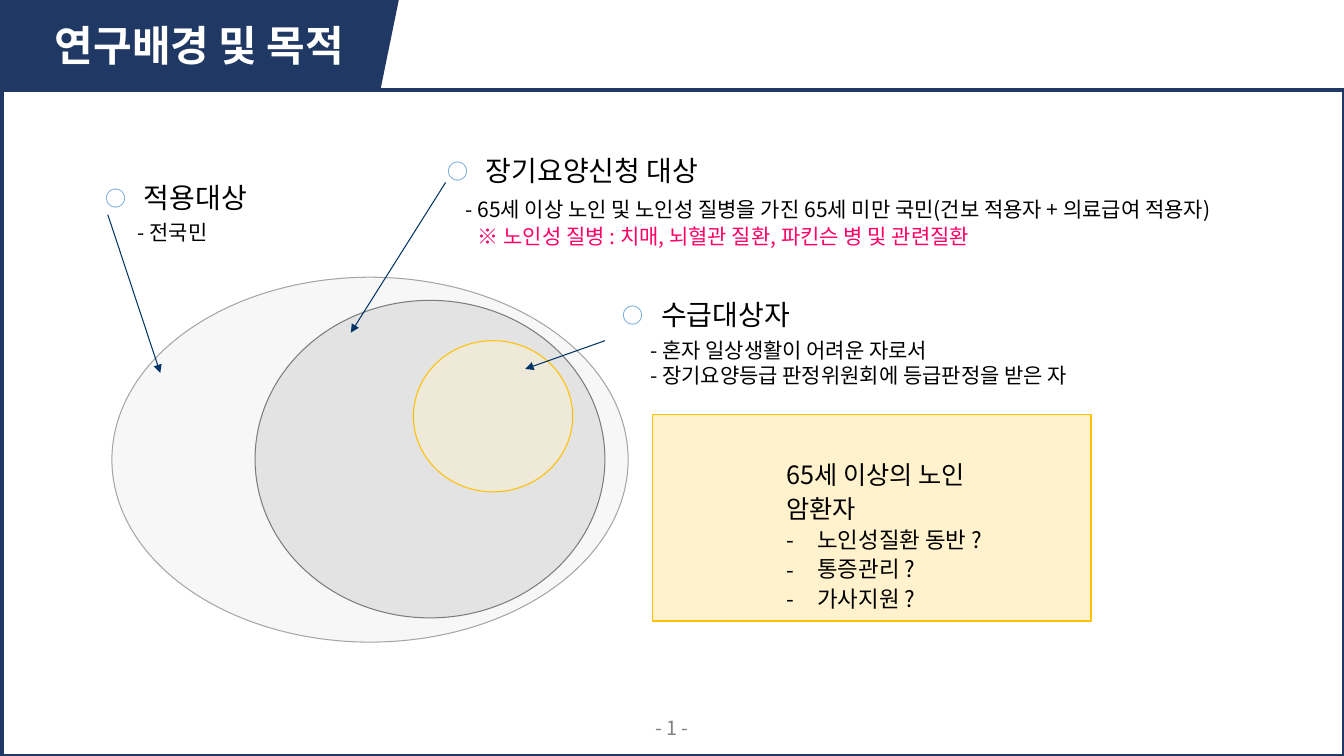
from dataclasses import dataclass

from lxml import etree
from pptx import Presentation
from pptx import util as u
from pptx.dml.color import RGBColor
from pptx.enum import shapes, text
from pptx.oxml import ns

FONT = "Noto Sans CJK KR"
NAVY = RGBColor(0x20, 0x38, 0x64)
INK = RGBColor(0x00, 0x33, 0x66)
BLACK = RGBColor(0, 0, 0)
WHITE = RGBColor(0xFF, 0xFF, 0xFF)
GRAY = RGBColor(0x80, 0x80, 0x80)
PINK = RGBColor(0xFF, 0x00, 0x66)
GOLD = RGBColor(0xFF, 0xC0, 0x00)
CREAM = RGBColor(0xFF, 0xF2, 0xCC)
PALE = RGBColor(0xED, 0xED, 0xED)
SILVER = RGBColor(0xA5, 0xA5, 0xA5)
MID = RGBColor(0xC9, 0xC9, 0xC9)
DARK = RGBColor(0x7C, 0x7C, 0x7C)
BLUE = RGBColor(0x5B, 0x9B, 0xD5)
LEFT, CENTER = text.PP_ALIGN.LEFT, text.PP_ALIGN.CENTER


@dataclass
class Line:
    words: str
    size: float
    space: float = 1.0
    before: float = 0
    indent: float = 0
    hang: float = 0
    bullet: str = ""
    color: RGBColor = BLACK
    bold: bool = False
    align: text.PP_ALIGN = LEFT


@dataclass
class Note:
    box: tuple[float, float, float, float]
    lines: list[Line]


@dataclass
class Figure:
    kind: shapes.MSO_SHAPE
    box: tuple[float, float, float, float]
    fill: RGBColor | None
    edge: RGBColor
    width: float
    alpha: int = 100


@dataclass
class Arrow:
    start: tuple[float, float]
    end: tuple[float, float]


def add(parent, tag: str, **attrs: str):
    return etree.SubElement(parent, ns.qn(tag), attrs)


def write(frame, lines: list[Line]) -> None:
    frame.word_wrap = True
    for i, line in enumerate(lines):
        para = frame.add_paragraph() if i else frame.paragraphs[0]
        para.text = line.words
        para.alignment = line.align
        para.line_spacing = line.space
        para.space_before = u.Pt(line.before)
        props = para._p.get_or_add_pPr()
        props.set("marL", str(u.Inches(line.indent)))
        props.set("indent", str(-u.Inches(line.hang)))
        if line.bullet:
            if line.bullet == "○":
                tint = add(props, "a:buClr")
                add(tint, "a:srgbClr", val=str(BLUE))
                add(props, "a:buSzPct", val="75000")
            add(props, "a:buFont", typeface=FONT)
            add(props, "a:buChar", char=line.bullet)
        font = para.font
        font.name, font.size, font.bold = FONT, u.Pt(line.size), line.bold
        font.color.rgb = line.color
        add(props.find(ns.qn("a:defRPr")), "a:ea", typeface=FONT)


def draw_note(slide, note: Note) -> None:
    box = slide.shapes.add_textbox(*map(u.Inches, note.box))
    write(box.text_frame, note.lines)


def draw_shape(slide, fig: Figure) -> None:
    shape = slide.shapes.add_shape(fig.kind, *map(u.Inches, fig.box))
    shape.shadow.inherit = False
    shape.line.color.rgb = fig.edge
    shape.line.width = u.Pt(fig.width)
    if fig.fill is None:
        shape.fill.background()
        return
    shape.fill.solid()
    shape.fill.fore_color.rgb = fig.fill
    if fig.alpha < 100:
        tint = shape._element.spPr.find(ns.qn("a:solidFill"))[0]
        add(tint, "a:alpha", val=str(fig.alpha * 1000))


def draw_arrow(slide, arrow: Arrow) -> None:
    line = slide.shapes.add_connector(
        shapes.MSO_CONNECTOR.STRAIGHT,
        *map(u.Inches, arrow.start + arrow.end))
    line.line.color.rgb = INK
    line.line.width = u.Pt(0.75)
    add(line.line._get_or_add_ln(), "a:tailEnd", type="triangle")
    add(line._element.spPr, "a:effectLst")


def draw_title(slide) -> None:
    pen = slide.shapes.build_freeform(0, u.Inches(-0.02))
    corners = [(3.96, -0.02), (3.77, 0.91), (0, 0.91)]
    pen.add_line_segments([(u.Inches(x), u.Inches(y)) for x, y in corners])
    tab = pen.convert_to_shape()
    tab.shadow.inherit = False
    tab.fill.solid()
    tab.fill.fore_color.rgb = NAVY
    tab.line.fill.background()
    tab.text_frame.vertical_anchor = text.MSO_ANCHOR.MIDDLE
    write(tab.text_frame, [Line("연구배경 및 목적", 30, color=WHITE,
                                bold=True, align=CENTER)])


def head(words: str, space: float = 1.2) -> Line:
    return Line(words, 20, space, indent=0.38, hang=0.38, bullet="○")


def ask(words: str) -> Line:
    return Line(words, 16, 1.1, indent=0.31, hang=0.31, bullet="-")


RECT, OVAL = shapes.MSO_SHAPE.RECTANGLE, shapes.MSO_SHAPE.OVAL
FIGURES = [
    Figure(RECT, (0.02, 0.89, 13.31, 6.61), None, NAVY, 3),
    Figure(RECT, (6.47, 4.11, 4.35, 2.05), CREAM, GOLD, 1),
    Figure(OVAL, (1.11, 2.75, 5.12, 3.62), PALE, SILVER, 0.75, 42),
    Figure(OVAL, (2.53, 2.98, 3.47, 3.15), MID, DARK, 0.75, 42),
    Figure(OVAL, (4.1, 3.38, 1.58, 1.5), CREAM, GOLD, 0.75, 42),
]
ARROWS = [
    Arrow((6, 3.38), (5.21, 3.66)),
    Arrow((4.42, 1.81), (3.48, 3.3)),
    Arrow((1.07, 2.13), (1.59, 3.7)),
]
NOTES = [
    Note((5.34, 7.05, 2.65, 0.34),
         [Line("- 1 -", 14, color=GRAY, align=CENTER)]),
    Note((0.95, 1.68, 2.84, 0.87), [
        head("적용대상"),
        Line("- 전국민", 14.9, 0.6, 10, 0.32)]),
    Note((4.34, 1.41, 8.77, 1.81), [
        head("장기요양신청 대상"),
        Line("- 65세 이상 노인 및 노인성 질병을 가진 65세 미만 국민"
             "(건보 적용자 + 의료급여 적용자)", 15, 1.2, 3, 0.18),
        Line("※ 노인성 질병 : 치매, 뇌혈관 질환, 파킨슨 병 및 관련질환",
             15, 0.9, 3, 0.3, color=PINK)]),
    Note((6.08, 2.87, 5.46, 2.05), [
        head("수급대상자", 1.1),
        Line("- 혼자 일상생활이 어려운 자로서", 15, 1.1, 3, 0.27),
        Line("- 장기요양등급 판정위원회에 등급판정을 받은 자",
             15, 0.8, 3, 0.27)]),
    Note((7.7, 4.48, 2.7, 1.31), [
        Line("65세 이상의 노인 암환자", 18, 1.1),
        *map(ask, ("노인성질환 동반 ?", "통증관리 ?", "가사지원 ?"))]),
]


def main() -> None:
    deck = Presentation()
    deck.slide_width, deck.slide_height = u.Inches(13.33), u.Inches(7.5)
    slide = deck.slides.add_slide(deck.slide_layouts[6])
    # Title tab and frame, then nested circles
    draw_title(slide)
    for fig in FIGURES:
        draw_shape(slide, fig)
    # Pointers and labels
    for arrow in ARROWS:
        draw_arrow(slide, arrow)
    for note in NOTES:
        draw_note(slide, note)
    deck.save("out.pptx")


if __name__ == "__main__":
    main()
